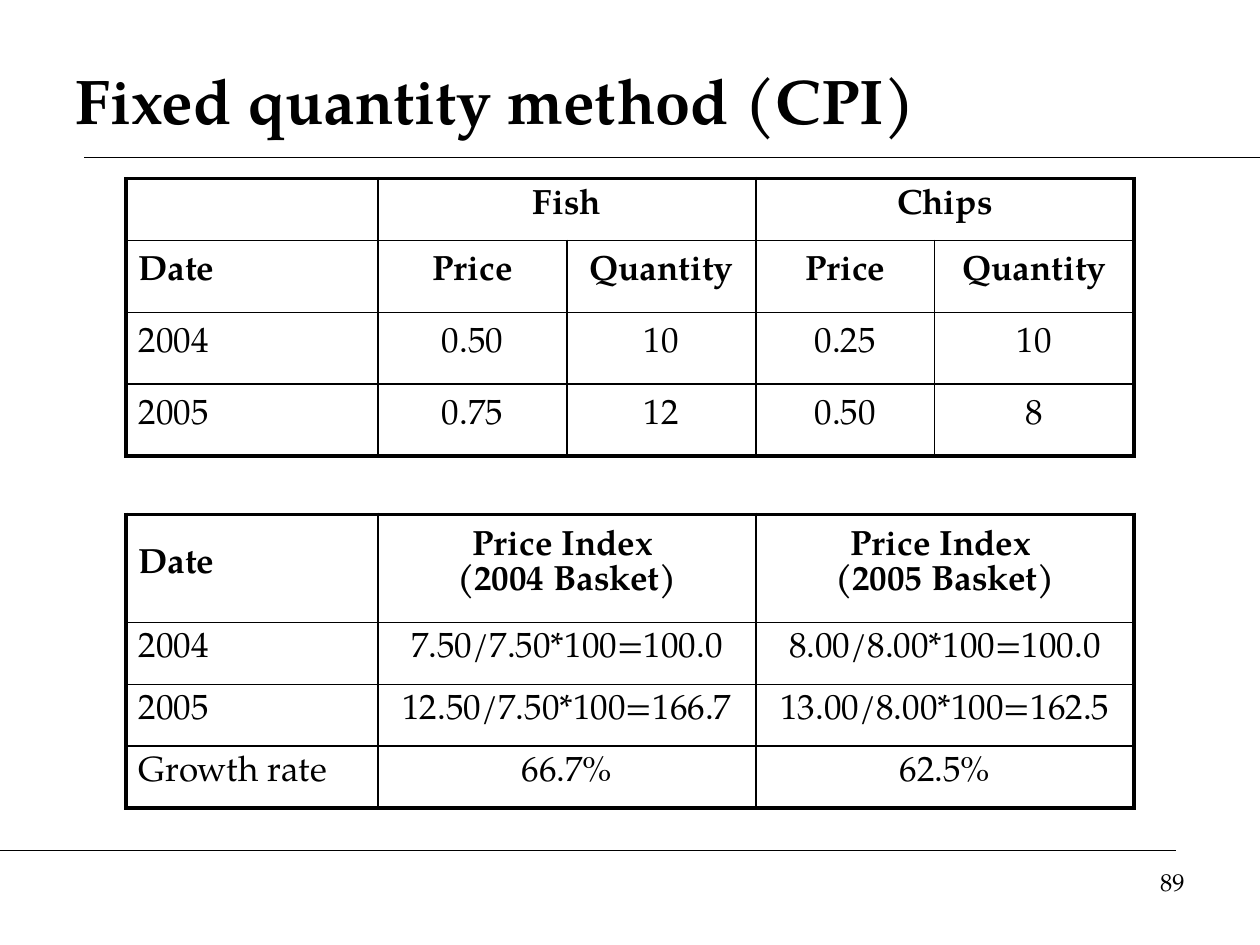
from dataclasses import dataclass

from lxml.etree import SubElement
from pptx import Presentation
from pptx.dml.color import RGBColor
from pptx.enum.shapes import MSO_CONNECTOR
from pptx.enum.text import MSO_ANCHOR as ANCHOR, PP_ALIGN as ALIGN
from pptx.oxml.ns import qn
from pptx.util import Cm, Pt

FONT = "TeX Gyre Pagella"
BLACK = "000000"
THIN, THICK = 1, 2.25


@dataclass
class Grid:
    top: float
    cols: list[float]
    rows: list[float]
    cells: list[list[str]]
    header_rows: int
    merges: tuple = ()  # (row, first column, last column)


@dataclass
class Rule:
    x1: float
    x2: float
    y: float


RULES = [Rule(1.7, 25.4, 3.18), Rule(0, 23.7, 17.15)]

GRIDS = [
    Grid(
        top=3.6,
        cols=[5.08, 3.81, 3.81, 3.6, 4.02],
        rows=[1.14, 1.45, 1.45, 1.45],
        cells=[
            ["", "Fish", "", "Chips", ""],
            ["Date", "Price", "Quantity", "Price", "Quantity"],
            ["2004", "0.50", "10", "0.25", "10"],
            ["2005", "0.75", "12", "0.50", "8"],
        ],
        header_rows=2,
        merges=((0, 1, 2), (0, 3, 4)),
    ),
    Grid(
        top=10.37,
        cols=[5.08, 7.62, 7.62],
        rows=[2.18, 1.22, 1.22, 1.17],
        cells=[
            ["Date", "Price Index \v(2004 Basket)", "Price Index \v(2005 Basket)"],
            ["2004", "7.50/7.50*100=100.0", "8.00/8.00*100=100.0"],
            ["2005", "12.50/7.50*100=166.7", "13.00/8.00*100=162.5"],
            ["Growth rate", "66.7%", "62.5%"],
        ],
        header_rows=1,
    ),
]


def rgb(value: str) -> RGBColor:
    return RGBColor.from_string(value)


def write(tf, text: str, *, size=20, bold=False, align=ALIGN.LEFT,
          color=BLACK) -> None:
    p = tf.paragraphs[0]
    p.text = text
    p.alignment = align
    for r in p.runs:
        r.font.name = FONT
        r.font.size = Pt(size)
        r.font.bold = bold
        r.font.color.rgb = rgb(color)


def add_text(s, text: str, x, y, w, h, *, anchor=ANCHOR.TOP, **fmt) -> None:
    tf = s.shapes.add_textbox(Cm(x), Cm(y), Cm(w), Cm(h)).text_frame
    tf.word_wrap = True
    tf.vertical_anchor = anchor
    write(tf, text, **fmt)


def add_rule(s, rule: Rule) -> None:
    line = s.shapes.add_connector(
        MSO_CONNECTOR.STRAIGHT, Cm(rule.x1), Cm(rule.y), Cm(rule.x2), Cm(rule.y))
    line.line.color.rgb = rgb(BLACK)
    line.line.width = Pt(0.75)
    SubElement(line.element.spPr, qn("a:effectLst"))


def set_borders(cell, widths: dict[str, float], color=BLACK) -> None:
    tc_pr = cell._tc.get_or_add_tcPr()
    for side, width in widths.items():
        ln = SubElement(tc_pr, qn(f"a:ln{side}"), w=str(Pt(width)))
        SubElement(SubElement(ln, qn("a:solidFill")), qn("a:srgbClr"), val=color)


def add_grid(s, grid: Grid) -> None:
    n_rows, n_cols = len(grid.rows), len(grid.cols)
    frame = s.shapes.add_table(n_rows, n_cols, Cm(2.54), Cm(grid.top),
                               Cm(sum(grid.cols)), Cm(sum(grid.rows)))
    table = frame.table
    table.first_row = table.horz_banding = False
    for col, width in zip(table.columns, grid.cols):
        col.width = Cm(width)
    for row, height in zip(table.rows, grid.rows):
        row.height = Cm(height)
    for row, first, last in grid.merges:
        table.cell(row, first).merge(table.cell(row, last))

    # Thick frame outside, thin lines inside
    for i, texts in enumerate(grid.cells):
        for j, text in enumerate(texts):
            cell = table.cell(i, j)
            last = j + (cell.span_width if cell.is_merge_origin else 1) - 1
            outer = {"L": j == 0, "R": last == n_cols - 1,
                     "T": i == 0, "B": i == n_rows - 1}
            set_borders(cell, {k: THICK if v else THIN for k, v in outer.items()})
            cell.fill.background()
            cell.vertical_anchor = ANCHOR.MIDDLE
            cell.margin_bottom = Cm(0.27)
            if text:
                write(cell.text_frame, text, bold=i < grid.header_rows,
                      align=ALIGN.CENTER if j else ALIGN.LEFT)


def main() -> None:
    prs = Presentation()
    prs.slide_width, prs.slide_height = Cm(25.4), Cm(19.05)
    s = prs.slides.add_slide(prs.slide_layouts[6])

    # Rules and title
    for rule in RULES:
        add_rule(s, rule)
    add_text(s, "Fixed quantity method (CPI)", 1.27, 0.84, 22.86, 2.34,
             anchor=ANCHOR.MIDDLE, size=36, bold=True)

    # Tables
    for grid in GRIDS:
        add_grid(s, grid)

    # Page number
    add_text(s, "89", 18.21, 17.35, 5.92, 1.32, size=14, align=ALIGN.RIGHT)

    prs.save("out.pptx")


if __name__ == "__main__":
    main()
